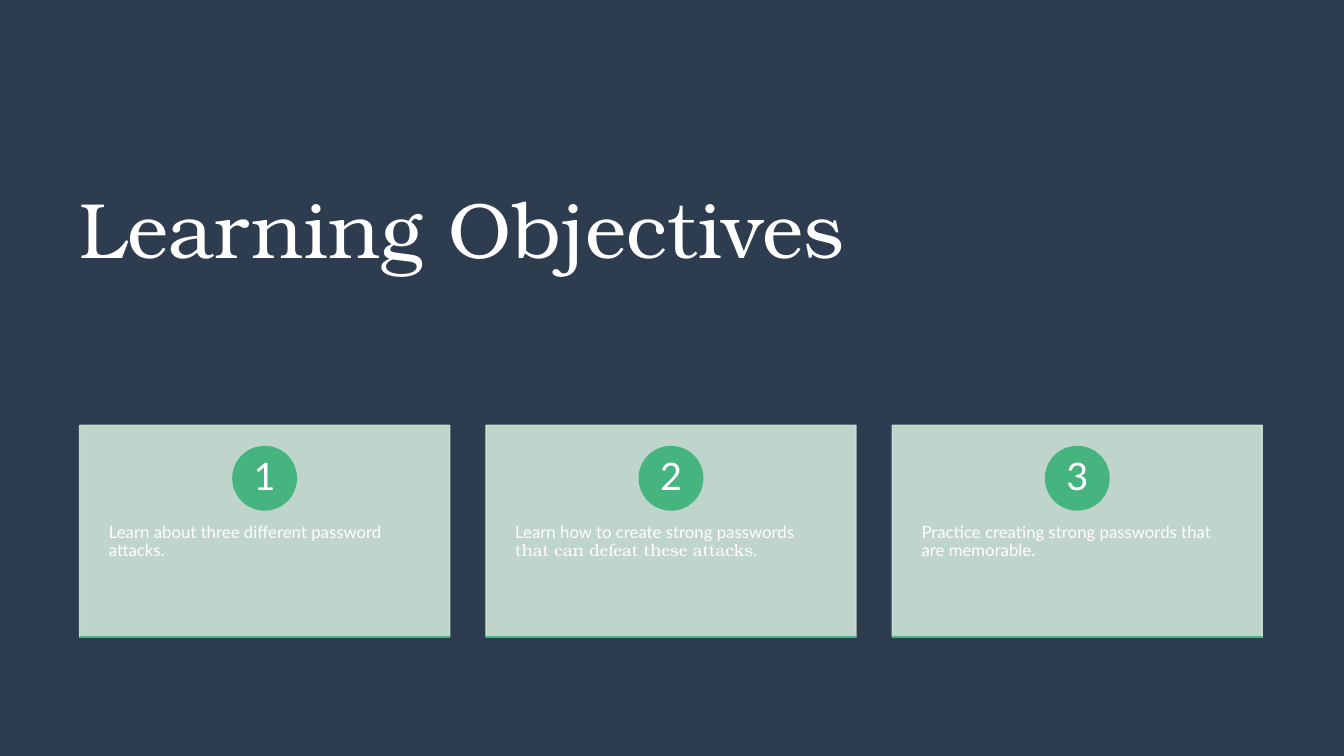
from lxml import etree
from pptx import Presentation
from pptx.dml.color import RGBColor
from pptx.enum.shapes import MSO_CONNECTOR, MSO_SHAPE
from pptx.enum.text import MSO_ANCHOR, MSO_AUTO_SIZE, PP_ALIGN
from pptx.oxml.ns import qn
from pptx.util import Inches, Pt

NAVY, SAGE, GREEN, WHITE = "2D3C4E", "CFE5D8", "46B47E", "FFFFFF"
SANS, SERIF = "Lato", "TeX Gyre Bonum"

# Each objective is a list of (text, font) runs.
OBJECTIVES = [
    [("Learn about three different password attacks.", SANS)],
    [("Learn how to create strong passwords", SANS),
     (" that can defeat these attacks", SERIF), (".", SANS)],
    [("Practice creating strong passwords that are memorable.", SANS)],
]
MARGIN, CARD_TOP = 0.79, 4.22
CARD_WIDTH, CARD_HEIGHT, CARD_STEP = 3.67, 2.1, 4.03


def color(hex_code):
    return RGBColor.from_string(hex_code)


def set_font(font, size, name=None):
    font.size = Pt(size)
    font.color.rgb = color(WHITE)
    if name:
        font.name = name


def set_insets(frame, horizontal, vertical):
    frame.margin_left = frame.margin_right = Inches(horizontal)
    frame.margin_top = frame.margin_bottom = Inches(vertical)


def add_filled_shape(slide, preset, left, top, width, height, hex_code, opacity=100):
    shape = slide.shapes.add_shape(
        preset, Inches(left), Inches(top), Inches(width), Inches(height))
    shape.shadow.inherit = False
    shape.line.width = Pt(1)
    shape.fill.solid()
    for paint in (shape.fill, shape.line.fill):
        paint.solid()
        paint.fore_color.rgb = color(hex_code)
    if opacity < 100:
        for paint in shape._element.spPr.iter(qn("a:srgbClr")):
            etree.SubElement(paint, qn("a:alpha"), val=str(opacity * 1000))
    return shape


def add_title(slide, left, top, width, height):
    title = slide.shapes.title
    title.left, title.top = Inches(left), Inches(top)
    title.width, title.height = Inches(width), Inches(height)
    frame = title.text_frame
    frame.text = "Learning Objectives"
    frame.auto_size = MSO_AUTO_SIZE.NONE
    frame.vertical_anchor = MSO_ANCHOR.MIDDLE
    set_insets(frame, 0, 0)
    paragraph = frame.paragraphs[0]
    paragraph.alignment = PP_ALIGN.LEFT
    set_font(paragraph.font, 56, SERIF)
    paragraph.runs[0].font._element.set("spc", "40")


def add_number(slide, number, left, top, diameter):
    circle = add_filled_shape(
        slide, MSO_SHAPE.OVAL, left, top, diameter, diameter, GREEN)
    frame = circle.text_frame
    frame.text = str(number)
    frame.vertical_anchor = MSO_ANCHOR.MIDDLE
    set_insets(frame, 0.05, 0.01)
    paragraph = frame.paragraphs[0]
    paragraph.alignment = PP_ALIGN.CENTER
    paragraph.line_spacing = 0.9
    set_font(paragraph.font, 27, SANS)


def add_objective_text(slide, runs, left, top, width, height):
    box = slide.shapes.add_textbox(
        Inches(left), Inches(top), Inches(width), Inches(height))
    frame = box.text_frame
    frame.word_wrap = True
    set_insets(frame, 0.29, 0.36)
    paragraph = frame.paragraphs[0]
    paragraph.line_spacing = 0.9
    set_font(paragraph.font, 12)
    for text, font_name in runs:
        run = paragraph.add_run()
        run.text = text
        run.font.name = font_name


def add_base_line(slide, left, top, width):
    line = slide.shapes.add_connector(
        MSO_CONNECTOR.STRAIGHT,
        Inches(left), Inches(top), Inches(left + width), Inches(top))
    line.line.color.rgb = color(GREEN)
    line.line.width = Pt(1)
    etree.SubElement(line._element.spPr, qn("a:effectLst"))


def add_card(slide, number, runs, left, top, width, height):
    diameter = 0.63
    add_filled_shape(
        slide, MSO_SHAPE.RECTANGLE, left, top, width, height, SAGE, opacity=90)
    add_objective_text(slide, runs, left, top + 0.8, width, 1.26)
    add_number(slide, number, left + (width - diameter) / 2, top + 0.21, diameter)
    add_base_line(slide, left, top + height, width)


def main():
    presentation = Presentation()
    presentation.slide_width = Inches(13.33)
    presentation.slide_height = Inches(7.5)
    slide = presentation.slides.add_slide(presentation.slide_layouts[5])
    slide.background.fill.solid()
    slide.background.fill.fore_color.rgb = color(NAVY)

    add_title(slide, MARGIN, 0.68, 11.73, 3.15)
    for index, runs in enumerate(OBJECTIVES):
        add_card(slide, index + 1, runs, MARGIN + index * CARD_STEP, CARD_TOP,
                 CARD_WIDTH, CARD_HEIGHT)
    presentation.save("out.pptx")


if __name__ == "__main__":
    main()
